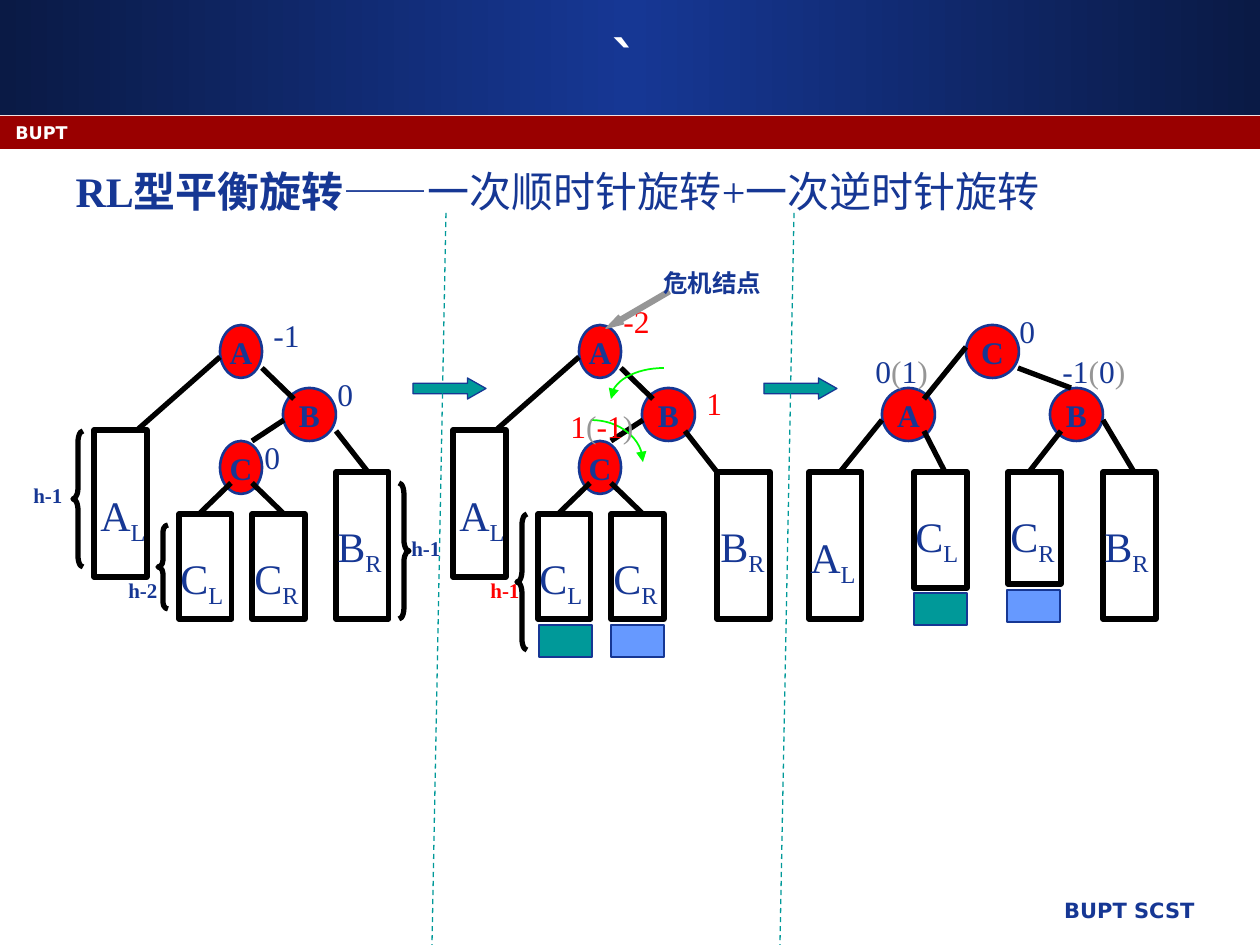
"""Build a slide on the RL double rotation of a balanced binary tree."""
from copy import deepcopy
from math import cos, pi, sin

from lxml.etree import SubElement
from pptx import Presentation
from pptx.dml.color import RGBColor
from pptx.enum.dml import MSO_LINE
from pptx.enum.shapes import MSO_CONNECTOR, MSO_SHAPE
from pptx.enum.text import MSO_ANCHOR, PP_ALIGN
from pptx.oxml.ns import qn
from pptx.util import Pt

THEME = {
    "navy": "163794", "dark": "0A1A45", "band": "990000", "white": "FFFFFF",
    "red": "FF0000", "black": "000000", "teal": "009999", "blue": "6699FF",
    "grey": "969696", "green": "00FF00",
    "serif": "Times New Roman", "sans": "DejaVu Sans",
    "title": 32, "body": 24, "node": 18, "callout": 14, "small": 12, "band_text": 10,
}
SCALE = 914400 / 126
PANEL_STEP = 359

TITLE = "`"
HEADING = [("RL型平衡旋转", True), ("——一次顺时针旋转+一次逆时针旋转", False)]

SHARED_NODES = [("A", 220, 325, 42), ("B", 283, 388, 53), ("C", 220, 441, 42)]
SHARED_BOXES = [(94, 430, 147), (179, 514, 105), (252, 514, 105)]
SHARED_EDGES = [(262, 368, 294, 399), (284, 420, 252, 441), (220, 357, 136, 431),
                (231, 483, 199, 514), (252, 483, 284, 514)]
SHARED_NAMES = [("AL", 88, 483), ("CL", 168, 546), ("CR", 242, 546)]


def shift(rows, at, step):
    return [row[:at] + (row[at] + step,) + row[at + 1:] for row in rows]


def shift_edges(edges, step):
    return shift(shift(edges, 0, step), 2, step)


NODES = SHARED_NODES + shift(SHARED_NODES, 1, PANEL_STEP) + [
    ("C", 966, 325, 53), ("A", 882, 388, 53), ("B", 1050, 388, 53)]
BOXES = SHARED_BOXES + shift(SHARED_BOXES, 0, PANEL_STEP) + [
    (336, 472, 147), (717, 472, 147),
    (809, 472, 147), (914, 472, 116), (1008, 472, 112), (1103, 472, 147)]
EDGES = SHARED_EDGES + shift_edges(SHARED_EDGES, PANEL_STEP) + [
    (336, 431, 368, 472), (685, 431, 717, 472),
    (882, 420, 840, 472), (924, 431, 945, 472), (966, 347, 924, 399),
    (1018, 368, 1071, 388), (1061, 431, 1029, 472), (1103, 420, 1134, 472)]
NAMES = SHARED_NAMES + shift(SHARED_NAMES, 1, PANEL_STEP) + [
    ("BR", 325, 514), ("BR", 708, 514),
    ("AL", 798, 525), ("CL", 903, 504), ("CR", 998, 504), ("BR", 1092, 514)]
EXTRA_LEVELS = [(539, 625, "teal"), (611, 625, "blue"), (914, 593, "teal"), (1007, 590, "blue")]
STEP_ARROWS = [(413, 378), (764, 378)]
DIVIDERS = [(446, 213, 432, 945), (794, 213, 780, 945)]
TURNS = [(591, 462, 52, 42), (664, 399, -53, 31)]
BRACES = [(MSO_SHAPE.LEFT_BRACE, 73, 431, 136, 1.08), (MSO_SHAPE.LEFT_BRACE, 158, 525, 84, 0.67),
          (MSO_SHAPE.RIGHT_BRACE, 399, 483, 136, 1.08), (MSO_SHAPE.LEFT_BRACE, 517, 514, 136, 1.08)]
HEIGHTS = [("h-1", 21, 476, "navy"), ("h-2", 116, 571, "navy"),
           ("h-1", 399, 529, "navy"), ("h-1", 478, 571, "red")]
FACTORS = [
    (261, 310, [("-1", "navy")]), (252, 432, [("0", "navy")]), (325, 369, [("0", "navy")]),
    (611, 296, [("-2", "red")]), (694, 378, [("1", "red")]),
    (558, 401, [("1", "red"), ("(", "grey"), ("-1", "red"), (")", "grey")]),
    (1007, 306, [("0", "navy")]),
    (863, 346, [("0", "navy"), ("(", "grey"), ("1", "navy"), (")", "grey")]),
    (1050, 346, [("-1", "navy"), ("(", "grey"), ("0", "navy"), (")", "grey")])]


def px(value):
    return round(value * SCALE)


def color(name):
    return RGBColor.from_string(THEME[name])


def add_span(para, text, size, ink="navy", bold=False, face="serif"):
    span = para.add_run()
    span.text = text
    for key, value in {"size": Pt(THEME[size]), "bold": bold, "name": THEME[face]}.items():
        setattr(span.font, key, value)
    span.font.color.rgb = color(ink)
    return span


def add_label(page, place, spans, size, bold=False, face="serif", align=PP_ALIGN.LEFT):
    box = page.shapes.add_textbox(*map(px, place))
    box.text_frame.word_wrap = True
    para = box.text_frame.paragraphs[0]
    para.alignment = align
    return [add_span(para, text, size, ink, bold, face) for text, ink in spans]


def style_line(line, ink, width, head=False):
    line.color.rgb = color(ink)
    line.width = Pt(width)
    if head:
        SubElement(line._get_or_add_ln(), qn("a:tailEnd"), type="triangle")


def add_block(page, kind, place, fill=None, line=None, width=0.75, adjust=()):
    block = page.shapes.add_shape(kind, *map(px, place))
    block.shadow.inherit = False
    if fill:
        block.fill.solid()
        block.fill.fore_color.rgb = color(fill)
    else:
        block.fill.background()
    if line:
        style_line(block.line, line, width)
    else:
        block.line.fill.background()
    for index, value in enumerate(adjust):
        block.adjustments[index] = value
    return block


def add_line(page, ends, ink, width):
    line = page.shapes.add_connector(MSO_CONNECTOR.STRAIGHT, *map(px, ends))
    style_line(line.line, ink, width)
    SubElement(line._element.spPr, qn("a:effectLst"))
    return line


def add_turn(page, center_x, center_y, radius_x, radius_y):
    angles = [pi / 2 * step / 16 for step in range(17)]
    points = [(center_x + radius_x * sin(angle), center_y - radius_y * cos(angle)) for angle in angles]
    builder = page.shapes.build_freeform(*map(px, points[0]), scale=1.0)
    builder.add_line_segments([(px(x), px(y)) for x, y in points[1:]], close=False)
    turn = builder.convert_to_shape()
    turn.shadow.inherit = False
    turn.fill.background()
    style_line(turn.line, "green", 1, head=True)


def place_placeholder(holder, place, anchor):
    for key, value in zip(("left", "top", "width", "height"), map(px, place)):
        setattr(holder, key, value)
    holder.text_frame.vertical_anchor = anchor
    return holder.text_frame.paragraphs[0]


def add_frame(page):
    header = add_block(page, MSO_SHAPE.RECTANGLE, (0, 0, 1260, 115), "navy")
    header.fill.gradient()
    header.fill.gradient_angle = 0
    first, last = header.fill._fill._gradFill.gsLst
    middle = deepcopy(first)
    first.addnext(middle)
    for stop, ink, position in zip(header.fill.gradient_stops, ("dark", "navy", "dark"), (0, 0.5, 1)):
        stop.color.rgb = color(ink)
        stop.position = position
    band = add_block(page, MSO_SHAPE.RECTANGLE, (0, 116, 1260, 33), "band")
    for block in (band, header):
        page.shapes._spTree.insert(2, block._element)
    add_label(page, (3, 116, 1166, 32), [("BUPT", "white")], "band_text", True, "sans")
    add_label(page, (530, 891, 677, 44), [("BUPT SCST", "navy")], "small", True, "sans", PP_ALIGN.RIGHT)

    para = place_placeholder(page.shapes.title, (42, 21, 1166, 78), MSO_ANCHOR.MIDDLE)
    para.alignment = PP_ALIGN.CENTER
    add_span(para, TITLE, "title", "white", True, "sans")
    para = place_placeholder(page.placeholders[1], (63, 159, 1134, 723), MSO_ANCHOR.TOP)
    props = para._p.get_or_add_pPr()
    props.set("marL", str(px(48)))
    props.set("indent", str(-px(48)))
    SubElement(props, qn("a:buNone"))
    para.space_before = Pt(0)
    for text, bold in HEADING:
        add_span(para, text, "body", bold=bold)


def add_trees(page):
    for letter, left, top, width in NODES:
        node = add_block(page, MSO_SHAPE.OVAL, (left, top, width, 53), "red", "navy", 1.5)
        frame = node.text_frame
        for key in ("margin_left", "margin_right", "margin_top", "margin_bottom"):
            setattr(frame, key, 0)
        frame.word_wrap = False
        frame.vertical_anchor = MSO_ANCHOR.MIDDLE
        frame.paragraphs[0].alignment = PP_ALIGN.CENTER
        add_span(frame.paragraphs[0], letter, "node", bold=True)
    for left, top, height in BOXES:
        add_block(page, MSO_SHAPE.RECTANGLE, (left, top, 53, height), None, "black", 3)
    for ends in EDGES:
        add_line(page, ends, "black", 3)
    for (base, side), left, top in NAMES:
        spans = add_label(page, (left, top, 94, 63), [(base, "navy"), (side, "navy")], "body")
        spans[1]._r.get_or_add_rPr().set("baseline", "-25000")
    for left, top, fill in EXTRA_LEVELS:
        add_block(page, MSO_SHAPE.RECTANGLE, (left, top, 53, 32), fill, "navy")


def add_notes_on_trees(page):
    for left, top in STEP_ARROWS:
        add_block(page, MSO_SHAPE.RIGHT_ARROW, (left, top, 73, 21), "teal", "navy", adjust=(0.5, 0.88))
    for turn in TURNS:
        add_turn(page, *turn)
    for kind, left, top, height, bend in BRACES:
        add_block(page, kind, (left, top, 10, height), None, "black", 3, (bend, 0.5))
    for text, left, top, ink in HEIGHTS:
        add_label(page, (left, top, 63, 38), [(text, ink)], "small", True)
    for left, top, spans in FACTORS:
        add_label(page, (left, top, 63 if len(spans) == 1 else 96, 50), spans, "node")
    pointer = add_block(page, MSO_SHAPE.LEFT_ARROW, (601, 305, 73, 10), "grey", "grey", adjust=(0.5, 1.75))
    pointer.rotation = 329.7
    add_label(page, (651, 262, 168, 42), [("危机结点", "navy")], "callout", True)
    for ends in DIVIDERS:
        add_line(page, ends, "teal", 0.75).line.dash_style = MSO_LINE.DASH


def main():
    deck = Presentation()
    deck.slide_width, deck.slide_height = px(1260), px(945)
    page = deck.slides.add_slide(deck.slide_layouts[1])
    add_frame(page)
    add_trees(page)
    add_notes_on_trees(page)
    deck.save("out.pptx")


if __name__ == "__main__":
    main()
